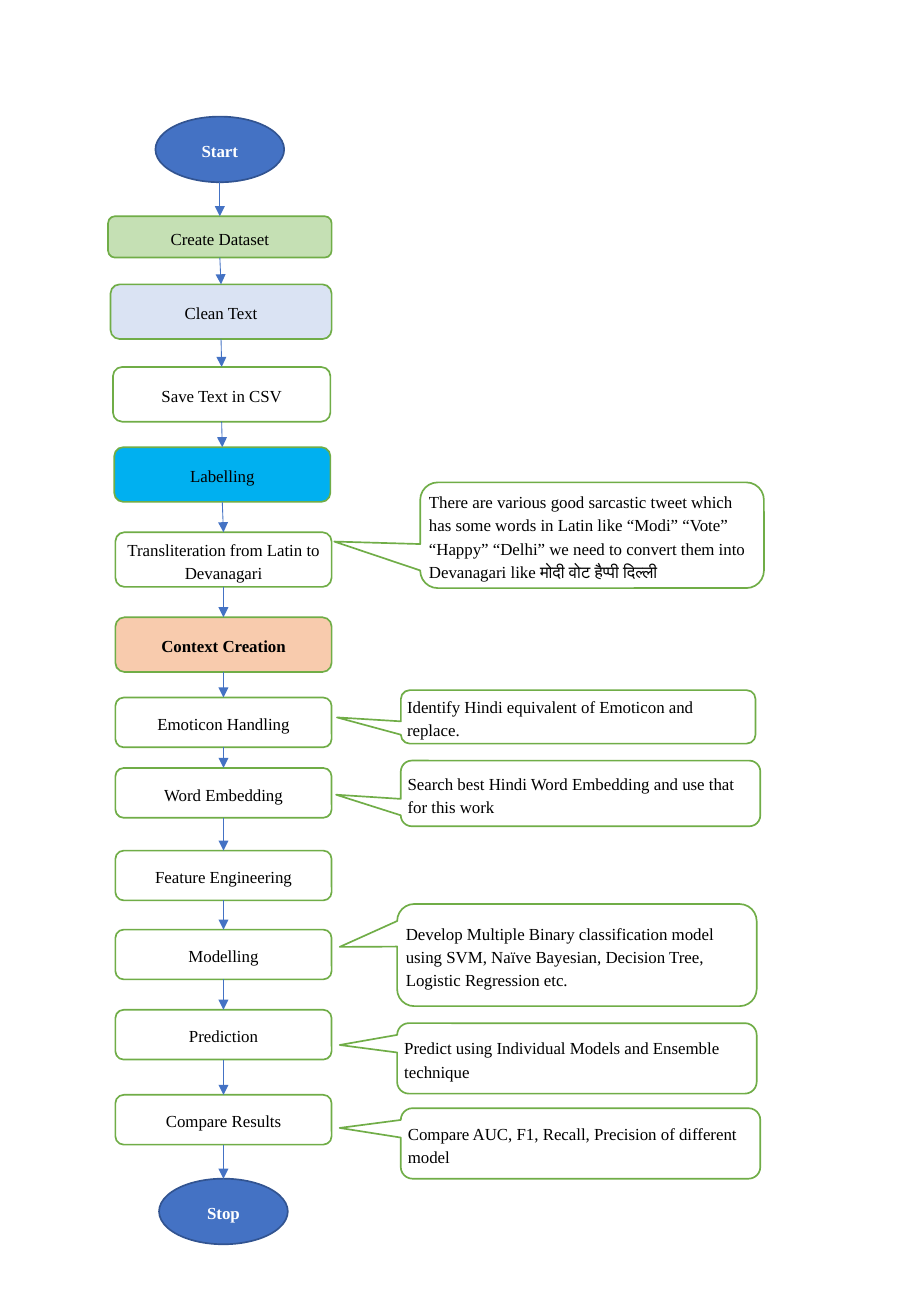
from dataclasses import dataclass
from itertools import pairwise

from lxml import etree
from pptx import Presentation
from pptx import util as u
from pptx.dml import color
from pptx.enum import shapes, text
from pptx.oxml import ns


@dataclass(frozen=True)
class Theme:
    font: str = "Times New Roman"
    size: float = 10
    edge: float = 1
    thin: float = 0.5
    white: str = "FFFFFF"
    black: str = "000000"
    green: str = "70AD47"
    blue: str = "4472C4"
    navy: str = "325491"
    mint: str = "C5E0B4"
    pale: str = "DAE3F3"
    sky: str = "00B0F0"
    peach: str = "F8CBAD"


class Chart:
    def __init__(self, slide, theme):
        self.slide = slide
        self.theme = theme

    def shape(self, kind, box, words, fill, line, ink, bold, align):
        item = self.slide.shapes.add_shape(kind, *map(u.Inches, box))
        item.shadow.inherit = False
        item.fill.solid()
        item.fill.fore_color.rgb = color.RGBColor.from_string(fill)
        item.line.color.rgb = color.RGBColor.from_string(line)
        item.line.width = u.Pt(self.theme.edge)
        frame = item.text_frame
        frame.word_wrap = True
        frame.vertical_anchor = text.MSO_ANCHOR.MIDDLE
        frame.margin_left = frame.margin_right = u.Inches(0.03)
        frame.margin_top = frame.margin_bottom = u.Inches(0.02)
        frame.text = words
        para = frame.paragraphs[0]
        para.alignment = align
        para.line_spacing = 1.15
        font = para.runs[0].font
        font.name = self.theme.font
        font.size = u.Pt(self.theme.size)
        font.bold = bold
        font.color.rgb = color.RGBColor.from_string(ink)
        return item

    def step(self, box, words, fill, bold=False):
        t = self.theme
        return self.shape(shapes.MSO_SHAPE.FLOWCHART_ALTERNATE_PROCESS, box, words,
                          fill, t.green, t.black, bold, text.PP_ALIGN.CENTER)

    def end(self, left, top, words):
        t = self.theme
        return self.shape(shapes.MSO_SHAPE.OVAL, (left, top, 1.06, 0.54), words,
                          t.blue, t.navy, t.white, True, text.PP_ALIGN.CENTER)

    def note(self, box, tip, words):
        t = self.theme
        item = self.shape(shapes.MSO_SHAPE.ROUNDED_RECTANGULAR_CALLOUT, box, words,
                          t.white, t.green, t.black, False, text.PP_ALIGN.LEFT)
        item.adjustments[0], item.adjustments[1] = tip

    def arrow(self, start, stop):
        link = self.slide.shapes.add_connector(
            shapes.MSO_CONNECTOR.STRAIGHT,
            start.left + start.width // 2, start.top + start.height,
            stop.left + stop.width // 2, stop.top)
        link.line.color.rgb = color.RGBColor.from_string(self.theme.blue)
        link.line.width = u.Pt(self.theme.thin)
        props = link._element.spPr
        head = etree.SubElement(props.find(ns.qn("a:ln")), ns.qn("a:tailEnd"))
        head.set("type", "triangle")
        etree.SubElement(props, ns.qn("a:effectLst"))


def main():
    deck = Presentation()
    deck.slide_width = u.Inches(7.5)
    deck.slide_height = u.Inches(10.83)
    theme = Theme()
    chart = Chart(deck.slides.add_slide(deck.slide_layouts[6]), theme)

    steps = [
        ((0.89, 1.78, 1.84, 0.34), "Create Dataset", theme.mint),
        ((0.91, 2.34, 1.82, 0.45), "Clean Text", theme.pale),
        ((0.93, 3.02, 1.79, 0.45), "Save Text in CSV", theme.white),
        ((0.94, 3.68, 1.78, 0.45), "Labelling", theme.sky),
        ((0.95, 4.38, 1.78, 0.45), "Transliteration from Latin to Devanagari", theme.white),
        ((0.95, 5.08, 1.78, 0.45), "Context Creation", theme.peach, True),
    ]
    tasks = [
        (5.74, "Emoticon Handling"),
        (6.32, "Word Embedding"),
        (7, "Feature Engineering"),
        (7.65, "Modelling"),
        (8.31, "Prediction"),
        (9.01, "Compare Results"),
    ]
    steps += [((0.95, top, 1.78, 0.41), words, theme.white) for top, words in tasks]

    flow = [chart.end(1.28, 0.96, "Start")]
    flow += [chart.step(*step) for step in steps]
    flow.append(chart.end(1.31, 9.7, "Stop"))
    for start, stop in pairwise(flow):
        chart.arrow(start, stop)

    notes = [
        ((3.46, 3.97, 2.83, 0.87), (-0.751, 0.058),
         "There are various good sarcastic tweet which has some words in Latin like "
         "“Modi” “Vote” “Happy” “Delhi” we need to convert them into Devanagari like "
         "मोदी वोट हैप्पी दिल्ली"),
        ((3.3, 5.68, 2.92, 0.44), (-0.68, 0.014),
         "Identify Hindi equivalent of Emoticon and replace."),
        ((3.3, 6.26, 2.96, 0.54), (-0.677, 0.018),
         "Search best Hindi Word Embedding and use that for this work"),
        ((3.27, 7.44, 2.96, 0.84), (-0.659, -0.081),
         "Develop Multiple Binary classification model using SVM, Naïve Bayesian, "
         "Decision Tree, Logistic Regression etc."),
        ((3.27, 8.42, 2.96, 0.58), (-0.657, -0.192),
         "Predict using Individual Models and Ensemble technique"),
        ((3.3, 9.12, 2.96, 0.58), (-0.672, -0.22),
         "Compare AUC, F1, Recall, Precision of different model"),
    ]
    for box, tip, words in notes:
        chart.note(box, [round(part, 2) for part in tip], words)

    deck.save("out.pptx")


if __name__ == "__main__":
    main()
